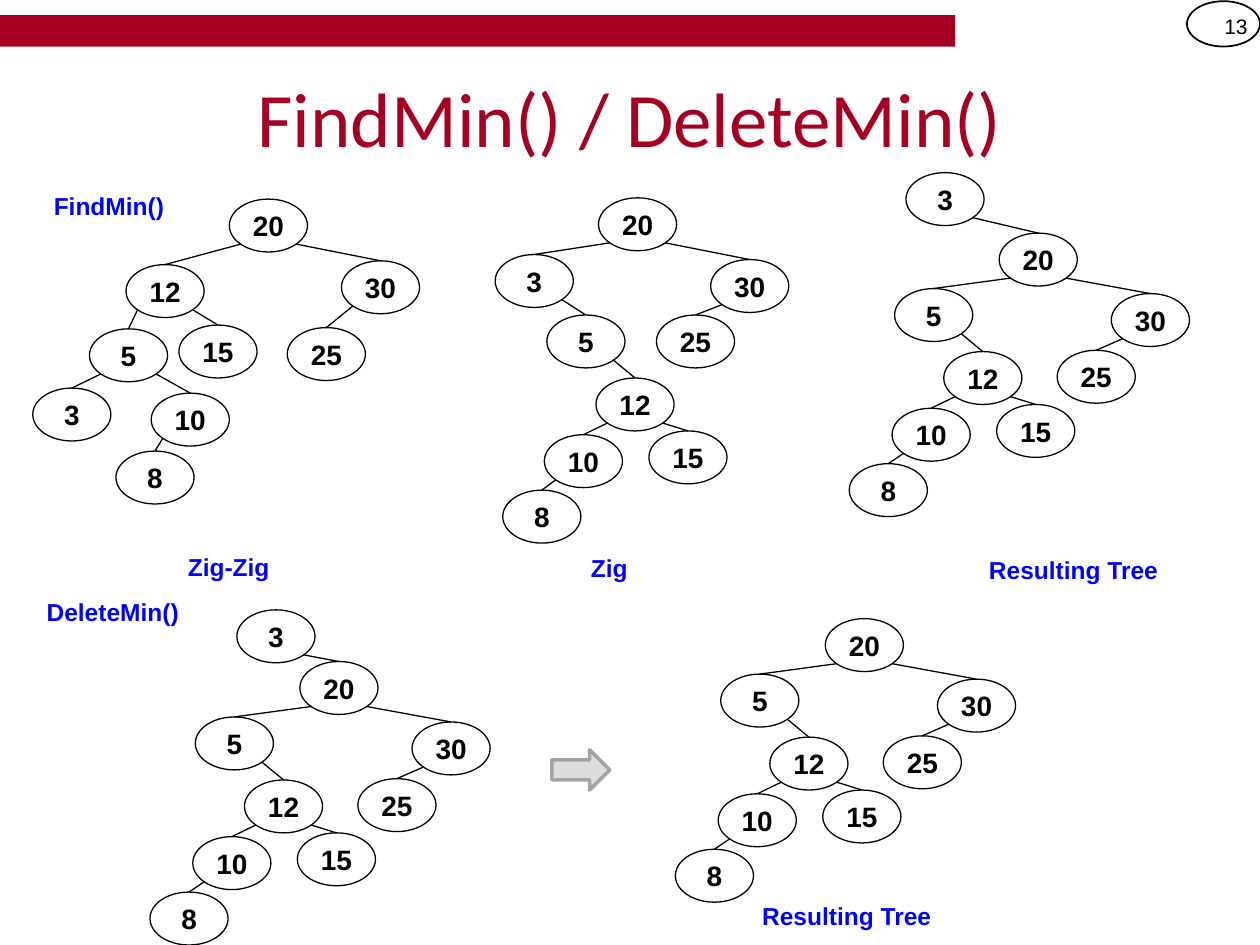
import pptx
import pptx.util
import pptx.dml.color
import pptx.enum.shapes
import pptx.enum.text
import pptx.oxml

Inches = pptx.util.Inches
Pt = pptx.util.Pt
RGBColor = pptx.dml.color.RGBColor
KIND = pptx.enum.shapes.MSO_SHAPE
ALIGN = pptx.enum.text.PP_ALIGN
MIDDLE = pptx.enum.text.MSO_ANCHOR.MIDDLE
TOP = pptx.enum.text.MSO_ANCHOR.TOP

BLACK = RGBColor(0, 0, 0)
RED = RGBColor(0xA5, 0x00, 0x21)
BLUE = RGBColor(0, 0, 0xFF)
PALE = RGBColor(0xDD, 0xDD, 0xDD)
GRAY = RGBColor(0xA3, 0xA3, 0xA3)

WIDE, HIGH = 0.62, 0.42   # size of a tree node
RIM = 0.85                # share of a side where a branch leaves the rim


class Board:
    """Holds the text styles and the current slide."""
    title = dict(name="Calibri", size=Pt(44), bold=False)
    page = dict(name="Arial", size=Pt(12), bold=False)
    label = dict(name="Arial", size=Pt(14), bold=True)
    key = dict(name="Arial", size=Pt(16), bold=True)

    def __init__(self, slide):
        self.shapes = slide.shapes

    def letter(self, shape, text, style, color, align, anchor, inset=0.1):
        frame = shape.text_frame
        form = dict(word_wrap=True, vertical_anchor=anchor,
                    margin_left=Inches(inset), margin_right=Inches(inset))
        for name, value in form.items():
            setattr(frame, name, value)
        para = frame.paragraphs[0]
        para.alignment = align
        run = para.add_run()
        run.text = text
        for name, value in style.items():
            setattr(run.font, name, value)
        run.font.color.rgb = color

    def text(self, box, text, style, color, align=ALIGN.CENTER, anchor=TOP):
        shape = self.shapes.add_textbox(*map(Inches, box))
        self.letter(shape, text, style, color, align, anchor)

    def shape(self, kind, box, fill=None, line=None, width=0.75):
        shape = self.shapes.add_shape(kind, *map(Inches, box))
        shape.shadow.inherit = False
        if fill is None:
            shape.fill.background()
        else:
            shape.fill.solid()
            shape.fill.fore_color.rgb = fill
        if line is None:
            shape.line.fill.background()
        else:
            shape.line.color.rgb = line
            shape.line.width = Pt(width)
        return shape

    def node(self, key, x, y):
        shape = self.shape(KIND.OVAL, (x, y, WIDE, HIGH), line=BLACK)
        self.letter(shape, str(key), self.key, BLACK, ALIGN.CENTER, MIDDLE, 0)
        return x, y

    def link(self, top, low):
        """Join the lower rim of one node to the top of its child."""
        side = RIM if low[0] > top[0] else 1 - RIM
        ends = (top[0] + side * WIDE, top[1] + RIM * HIGH,
                low[0] + WIDE / 2, low[1])
        line = self.shapes.add_connector(
            pptx.enum.shapes.MSO_CONNECTOR.STRAIGHT, *map(Inches, ends))
        line.line.color.rgb = BLACK
        line.line.width = Pt(0.75)
        line._element.spPr.append(pptx.oxml.parse_xml(
            '<a:effectLst xmlns:a='
            '"http://schemas.openxmlformats.org/drawingml/2006/main"/>'))

    def tree(self, x, y, plan, head=None):
        """Draw node 20 at x, y, its subtree, and a node 3 above if given."""
        spots = {20: self.node(20, x, y)}
        for key, top, dx, dy in plan:
            spots[key] = self.node(key, x + dx, y + dy)
            self.link(spots[top], spots[key])
        if head:
            self.link(self.node(3, *head), spots[20])


# Trees: key, parent, offset from node 20
START = [(30, 20, 0.89, 0.49), (12, 20, -0.82, 0.52), (15, 12, -0.4, 1),
         (25, 30, 0.46, 1.02), (5, 12, -1.11, 1.03), (3, 5, -1.56, 1.5),
         (10, 5, -0.62, 1.54), (8, 10, -0.9, 2)]
ZIGZIG = [(30, 20, 0.89, 0.49), (3, 20, -0.82, 0.45), (5, 3, -0.41, 0.93),
          (25, 30, 0.46, 0.93), (12, 5, -0.02, 1.43), (10, 12, -0.43, 1.88),
          (8, 10, -0.76, 2.32), (15, 12, 0.4, 1.85)]
FINAL = [(30, 20, 0.89, 0.48), (5, 20, -0.83, 0.44), (12, 5, -0.44, 0.94),
         (25, 30, 0.46, 0.93), (10, 12, -0.85, 1.39), (8, 10, -1.19, 1.83),
         (15, 12, -0.02, 1.36)]

deck = pptx.Presentation()
deck.slide_width, deck.slide_height = Inches(10), Inches(7.5)
board = Board(deck.slides.add_slide(deck.slide_layouts[6]))

# Header
board.text((9.42, 0.01, 0.58, 0.4), "13", board.page, BLACK,
           ALIGN.RIGHT, MIDDLE)
board.shape(KIND.RECTANGLE, (0, 0.12, 7.58, 0.25), fill=RED)
board.shape(KIND.OVAL, (9.42, 0.01, 0.58, 0.36), line=BLACK, width=1)
board.text((0.5, 0.3, 9, 1.25), "FindMin() / DeleteMin()", board.title, RED,
           anchor=MIDDLE)

# FindMin row
board.tree(1.82, 1.58, START)
board.tree(4.75, 1.57, ZIGZIG)
board.tree(7.93, 1.85, FINAL, head=(7.19, 1.37))

# DeleteMin row
board.tree(2.38, 5.25, FINAL, head=(1.88, 4.84))
board.shape(KIND.RIGHT_ARROW, (4.38, 5.95, 0.46, 0.32), PALE, GRAY, 2)
board.tree(6.55, 4.91, FINAL)

# Labels
for text, x, y, align in [
        ("FindMin()", 0.02, 1.47, ALIGN.CENTER),
        ("Zig-Zig", 0.97, 4.33, ALIGN.CENTER),
        ("Zig", 3.99, 4.34, ALIGN.CENTER),
        ("Resulting Tree", 7.75, 4.36, ALIGN.LEFT),
        ("DeleteMin()", 0.05, 4.69, ALIGN.CENTER),
        ("Resulting Tree", 5.95, 7.1, ALIGN.LEFT)]:
    board.text((x, y, 1.69, 0.34), text, board.label, BLUE, align)

deck.save("out.pptx")
